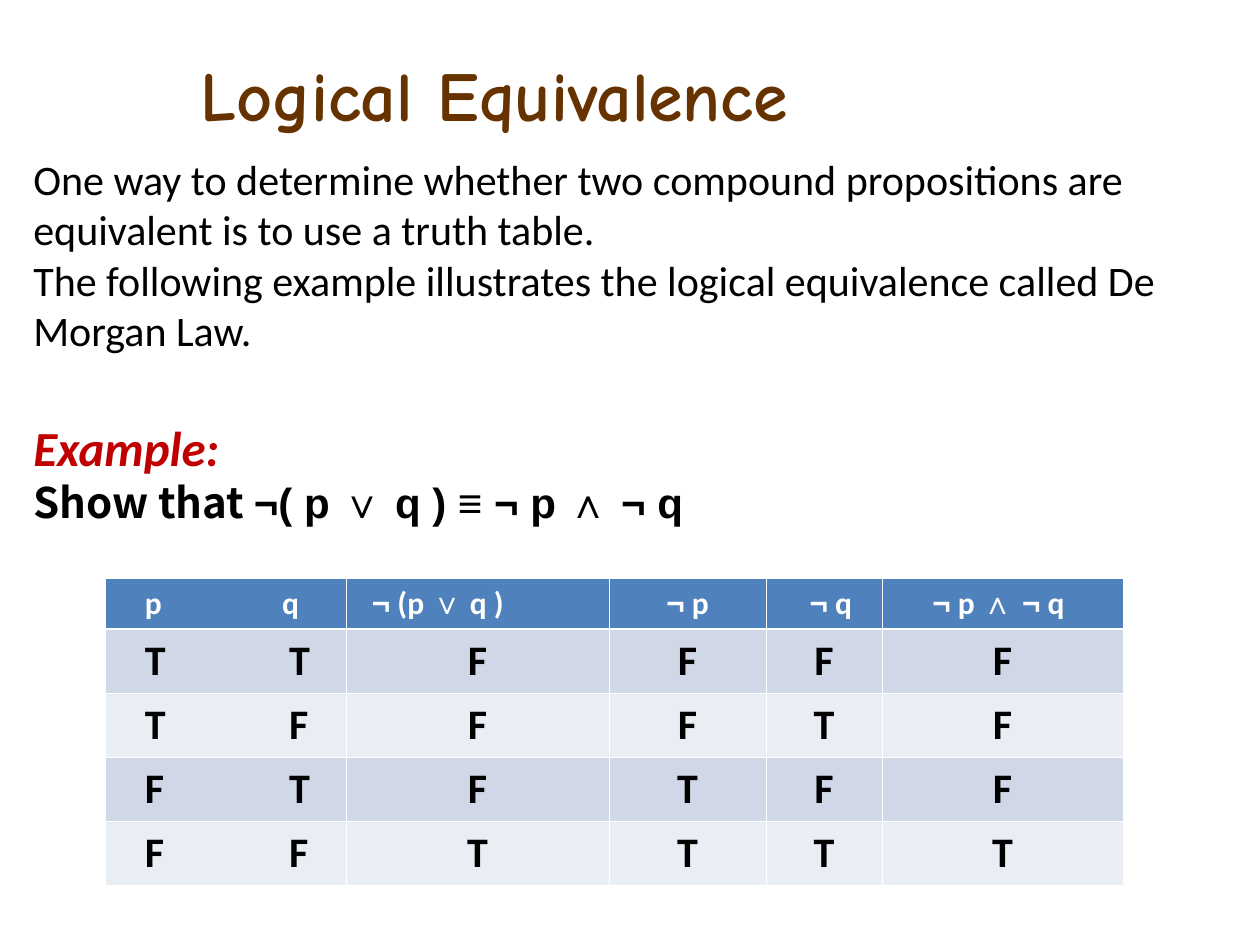
from lxml import etree
from pptx import Presentation
from pptx import util as u
from pptx.dml.color import RGBColor
from pptx.enum import text
from pptx.oxml.ns import qn

PX = 914400 // 126  # EMU in one px
COLORS = {"black": "000000", "white": "FFFFFF", "brown": "663300",
          "red": "C00000", "header": "4F81BD", "odd": "D0D8E8", "even": "E9EDF4"}
CENTER, LEFT = text.PP_ALIGN.CENTER, text.PP_ALIGN.LEFT


class Slide:
    """Style values and the page that elements are added to."""

    def __init__(self, page):
        self.page = page

    def px(self, length):
        return u.Emu(length * PX)

    def fill_para(self, para, spans, tab=None, **formats):
        """Fill a paragraph with (text, font name) spans of one format."""
        if tab:
            stops = etree.SubElement(para._p.get_or_add_pPr(), qn("a:tabLst"))
            etree.SubElement(stops, qn("a:tab"), pos=str(self.px(tab)), algn="l")
        color = formats.pop("color")
        for words, font in spans:
            span = para.add_run()
            span.text = words
            for name, value in {"name": font, **formats}.items():
                setattr(span.font, name, value)
            span.font.color.rgb = RGBColor.from_string(COLORS[color])

    def box(self, left, top, width, height, paras, anchor, align=LEFT):
        frame = self.page.shapes.add_textbox(
            *map(self.px, (left, top, width, height))).text_frame
        frame.word_wrap = True
        frame.vertical_anchor = anchor
        for i, (spans, before, formats) in enumerate(paras):
            para = frame.add_paragraph() if i else frame.paragraphs[0]
            para.alignment = align
            if before:
                para.space_before = u.Pt(before)
            self.fill_para(para, spans, **formats)

    def border(self, cell, sides):
        props = cell._tc.get_or_add_tcPr()
        for i, (side, points) in enumerate(sides.items()):
            line = etree.Element(qn(f"a:{side}"), w=str(u.Pt(points)))
            fill = etree.SubElement(line, qn("a:solidFill"))
            etree.SubElement(fill, qn("a:srgbClr"), val=COLORS["white"])
            props.insert(i, line)

    def cell(self, cell, spans, fill, sides, align, margins, **formats):
        cell.fill.solid()
        cell.fill.fore_color.rgb = RGBColor.from_string(COLORS[fill])
        cell.margin_left, cell.margin_right = map(self.px, margins)
        self.border(cell, sides)
        para = cell.text_frame.paragraphs[0]
        para.alignment = align
        self.fill_para(para, spans, bold=True, **formats)

    def table(self, left, top, widths, heights, header, rows):
        grid = self.page.shapes.add_table(
            len(heights), len(widths),
            *map(self.px, (left, top, sum(widths), sum(heights)))).table
        for column, width in zip(grid.columns, widths):
            column.width = self.px(width)
        for row, height in zip(grid.rows, heights):
            row.height = self.px(height)
        thin, thick = 0.45, 1.47
        for c, (spans, align, margins) in enumerate(header):
            self.cell(grid.cell(0, c), spans, "header",
                      {"lnL": thin, "lnR": thin, "lnT": thin, "lnB": thick},
                      align, margins, color="white", size=u.Pt(18),
                      tab=None if c else 137)
        for r, values in enumerate(rows, 1):
            for c, value in enumerate(values):
                self.cell(grid.cell(r, c), [(value, "Calibri")],
                          "odd" if r % 2 else "even",
                          {"lnL": thin, "lnR": thin,
                           "lnT": thick if r == 1 else thin, "lnB": thin},
                          CENTER if c else LEFT, (13, 13) if c else (40, 13),
                          color="black", size=u.Pt(24), tab=None if c else 144)


def truth_rows():
    """Rows of p and q, ¬(p ∨ q), ¬p, ¬q, ¬p ∧ ¬q."""
    def mark(value):
        return "T" if value else "F"
    for p in (True, False):
        for q in (True, False):
            results = (not (p or q), not p, not q, not p and not q)
            yield [f"{mark(p)}\t{mark(q)}", *map(mark, results)]


def main():
    deck = Presentation()
    deck.slide_width, deck.slide_height = u.Inches(10), u.Inches(7.5)
    slide = Slide(deck.slides.add_slide(deck.slide_layouts[6]))

    # Truth table
    header = [
        ([("p\tq", "Calibri")], LEFT, (40, 13)),
        ([("¬", "Arial"), (" (p ", "Calibri"), ("∨", "Arial"),
          (" q )", "Calibri")], LEFT, (26, 13)),
        ([("¬", "Arial"), (" p", "Calibri")], CENTER, (13, 13)),
        ([("¬", "Arial"), (" q", "Calibri")], CENTER, (27, 13)),
        ([("¬", "Arial"), (" p ", "Calibri"), ("∧ ¬", "Arial"),
          (" q", "Calibri")], CENTER, (13, 21)),
    ]
    slide.table(105, 578, [241, 263, 157, 116, 241], [51] + [64] * 4,
                header, truth_rows())

    # Explanation and example
    plain = {"size": u.Pt(24), "color": "black"}
    slide.box(21, 147, 1197, 437, [
        ([("One way to determine whether two compound propositions are "
           "equivalent is to use a truth table.", "Calibri")], 0, plain),
        ([("The following example illustrates the logical equivalence called "
           "De Morgan Law.", "Calibri")], 0, plain),
        ([("Example:", "Calibri")], 36,
         {"size": u.Pt(28), "color": "red", "bold": True, "italic": True}),
        ([("Show that ", "Noto Sans CJK JP"),
          ("¬( p ∨ q ) ≡ ¬ p ∧ ¬ q", "Arial")], 0, {**plain, "bold": True}),
    ], text.MSO_ANCHOR.TOP)

    # Title
    slide.box(63, 31, 863, 126, [
        ([("Logical Equivalence", "Comic Neue")], 0,
         {"size": u.Pt(40), "color": "brown", "bold": True}),
    ], text.MSO_ANCHOR.MIDDLE, CENTER)

    deck.save("out.pptx")


if __name__ == "__main__":
    main()
